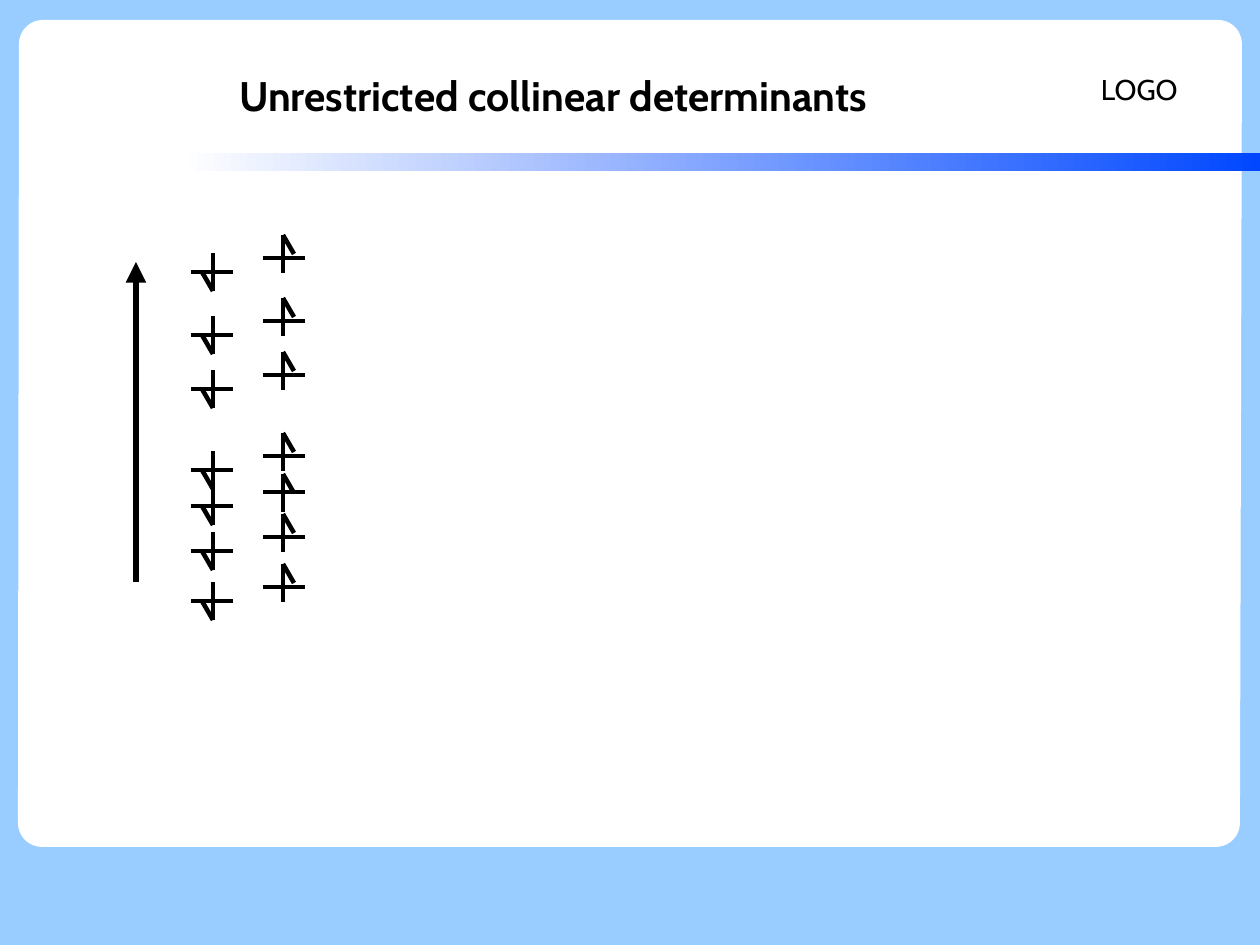
"""Build the slide on unrestricted collinear determinants with its spin-orbital diagram."""
from dataclasses import dataclass
from math import cos, radians, sin

from lxml import etree
from pptx import Presentation
from pptx.dml.color import RGBColor
from pptx.enum.shapes import MSO_CONNECTOR, MSO_SHAPE
from pptx.enum.text import MSO_ANCHOR, MSO_AUTO_SIZE, PP_ALIGN
from pptx.oxml.ns import qn
from pptx.shapes.autoshape import Shape
from pptx.shapes.connector import Connector
from pptx.slide import Slide
from pptx.text.text import TextFrame
from pptx.util import Emu, Pt

STRAIGHT = MSO_CONNECTOR.STRAIGHT
RECTANGLE = MSO_SHAPE.RECTANGLE
MIDDLE = MSO_ANCHOR.MIDDLE
NO_AUTOFIT = MSO_AUTO_SIZE.NONE
CENTER, LEFT = PP_ALIGN.CENTER, PP_ALIGN.LEFT

PX = 8000
SLIDE_WIDTH, SLIDE_HEIGHT = 1260, 945
TITLE_ONLY = 5


@dataclass(frozen=True)
class Theme:
    font: str = "Cabin"
    sky: RGBColor = RGBColor(0x99, 0xCC, 0xFF)
    card: RGBColor = RGBColor(0xFF, 0xFF, 0xFF)
    band_end: RGBColor = RGBColor(0x00, 0x47, 0xFF)
    ink: RGBColor = RGBColor(0x00, 0x00, 0x00)
    title_size: float = 26
    logo_size: float = 18
    level_line: float = 2.89
    axis_line: float = 4.31


@dataclass(frozen=True)
class Level:
    """Height of a spin-up orbital and the rise of its arrow tip above it."""
    y: int
    rise: int = 23


@dataclass(frozen=True)
class Spin:
    """Direction of an arrow's barb from its tip, and its place in the column."""
    level_left: int
    arrow_x: int
    direction: int


THEME = Theme()
LEVELS = [Level(258), Level(321), Level(375), Level(456),
          Level(492, 18), Level(537), Level(587)]
UP = Spin(level_left=263, arrow_x=283, direction=1)
DOWN = Spin(level_left=191, arrow_x=213, direction=-1)
DOWN_SHIFT, DOWN_REACH = 14, 19
LEVEL_WIDTH, ARROW_LENGTH = 42, 38
BARB_WIDTH, BARB_HEIGHT = 11, 19
CORNER_RADIUS, CORNER_STEP = 24, 10
CARD_CORNERS = [(43, 44, 180), (1218, 44, 270), (1216, 823, 0), (42, 823, 90)]


def px(length: int) -> Emu:
    """Turn px into EMU."""
    return Emu(length * PX)


def draw_line(slide: Slide, start: tuple[int, int], end: tuple[int, int],
              width: float) -> Connector:
    """Draw a straight line without a shadow."""
    line = slide.shapes.add_connector(STRAIGHT, *map(px, start + end))
    line.line.color.rgb = THEME.ink
    line.line.width = Pt(width)
    etree.SubElement(line._element.spPr, qn("a:effectLst"))
    return line


def draw_orbital(slide: Slide, spin: Spin, y: int, tip: int) -> None:
    """Draw a level with its half-headed spin arrow."""
    x, way = spin.arrow_x, spin.direction
    strokes = [
        ((spin.level_left, y), (spin.level_left + LEVEL_WIDTH, y)),
        ((x, tip), (x, tip + way * ARROW_LENGTH)),
        ((x, tip), (x + way * BARB_WIDTH, tip + way * BARB_HEIGHT)),
    ]
    for start, end in strokes:
        draw_line(slide, start, end, THEME.level_line)


def draw_energy_axis(slide: Slide) -> None:
    """Draw the upward arrow beside the levels."""
    axis = draw_line(slide, (136, 582), (136, 262), THEME.axis_line)
    etree.SubElement(axis.line._get_or_add_ln(), qn("a:tailEnd"), type="triangle")


def clear_outline(shape: Shape) -> None:
    """Remove the shape's line and shadow."""
    shape.line.fill.background()
    shape.shadow.inherit = False


def draw_card(slide: Slide) -> None:
    """Draw the white, slightly tapered panel with round corners."""
    outline = [
        (round((x + CORNER_RADIUS * cos(radians(first + turn))) * PX),
         round((y + CORNER_RADIUS * sin(radians(first + turn))) * PX))
        for x, y, first in CARD_CORNERS
        for turn in range(0, 91, CORNER_STEP)
    ]
    builder = slide.shapes.build_freeform(*outline[0])
    builder.add_line_segments(outline[1:], close=True)
    card = builder.convert_to_shape()
    card.fill.solid()
    card.fill.fore_color.rgb = THEME.card
    clear_outline(card)


def draw_band(slide: Slide) -> None:
    """Draw the gradient band below the title."""
    band = slide.shapes.add_shape(RECTANGLE, px(180), px(153), px(1080), px(18))
    band.fill.gradient()
    band.fill.gradient_angle = 0
    stops = band.fill.gradient_stops
    for stop, position, color in zip(stops, (0, 1), (THEME.card, THEME.band_end)):
        stop.position = position
        stop.color.rgb = color
    clear_outline(band)


def write(frame: TextFrame, text: str, size: float, bold: bool, align: PP_ALIGN,
          insets: tuple[int, int]) -> None:
    """Write one styled line into a vertically centred frame."""
    frame.word_wrap = True
    frame.auto_size = NO_AUTOFIT
    frame.vertical_anchor = MIDDLE
    frame.margin_left = frame.margin_right = px(insets[0])
    frame.margin_top = frame.margin_bottom = px(insets[1])
    line = frame.paragraphs[0]
    line.alignment = align
    run = line.add_run()
    run.text = text
    run.font.name = THEME.font
    run.font.size = Pt(size)
    run.font.bold = bold
    run.font.color.rgb = THEME.ink


def write_headings(slide: Slide) -> None:
    """Write the logo word and the title above the panel."""
    logo = slide.shapes.add_textbox(px(1090), px(36), px(104), px(107))
    write(logo.text_frame, "LOGO", THEME.logo_size, False, LEFT, (11, 6))
    title = slide.shapes.title
    title.left, title.top, title.width, title.height = map(px, (63, 37, 981, 115))
    write(title.text_frame, "Unrestricted collinear determinants",
          THEME.title_size, True, CENTER, (0, 0))
    slide.shapes._spTree.append(title._element)


def main() -> None:
    """Build and save the presentation."""
    deck = Presentation()
    deck.slide_width, deck.slide_height = px(SLIDE_WIDTH), px(SLIDE_HEIGHT)
    slide = deck.slides.add_slide(deck.slide_layouts[TITLE_ONLY])
    slide.background.fill.solid()
    slide.background.fill.fore_color.rgb = THEME.sky
    draw_card(slide)
    draw_band(slide)
    write_headings(slide)
    for level in LEVELS:
        draw_orbital(slide, UP, level.y, level.y - level.rise)
        lower = level.y + DOWN_SHIFT
        draw_orbital(slide, DOWN, lower, lower + DOWN_REACH)
    draw_energy_axis(slide)
    deck.save("out.pptx")


if __name__ == "__main__":
    main()
